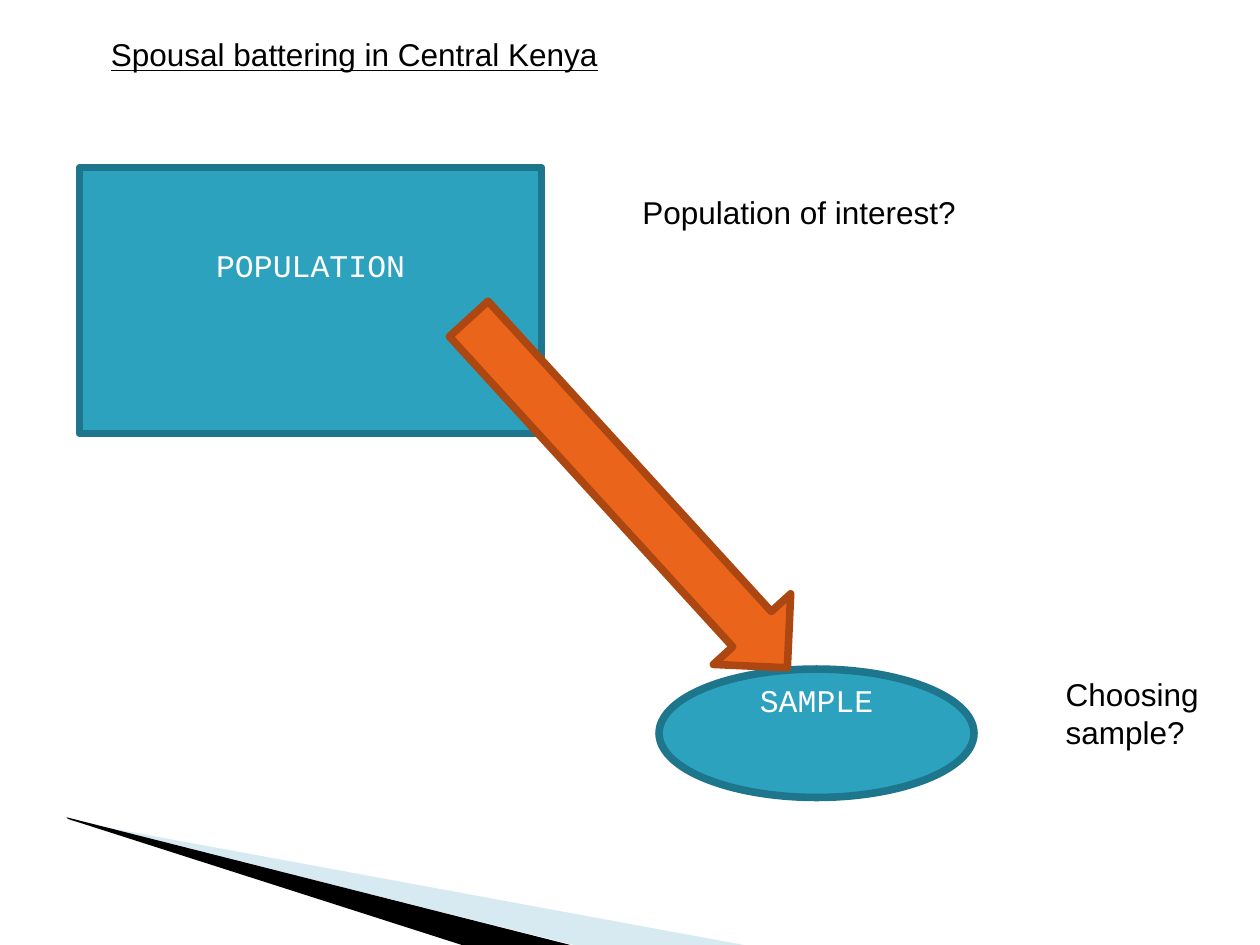
from lxml import etree
from pptx import Presentation
from pptx.dml.color import RGBColor
from pptx.enum.shapes import MSO_SHAPE
from pptx.enum.text import MSO_ANCHOR, PP_ALIGN
from pptx.oxml.ns import qn
from pptx.util import Pt

RECT, OVAL, ARROW = MSO_SHAPE.RECTANGLE, MSO_SHAPE.OVAL, MSO_SHAPE.DOWN_ARROW
TOP = MSO_ANCHOR.TOP
LEFT, CENTER = PP_ALIGN.LEFT, PP_ALIGN.CENTER

TITLE = ("Spousal battering in Central Kenya", (56.2, 16.6, 573.8, 28.8))
NOTES = [
    ("Population of interest?", (360, 106.6, 292.3, 50.4)),
    ("Choosing sample?", (601.9, 382.3, 118.1, 72)),
]
GROUPS = [
    ("POPULATION", RECT, (45.4, 95.8, 264.2, 151.9), 45),
    ("SAMPLE", OVAL, (376.6, 382.3, 180, 73.4), -4),
]
FLOW = (329, 146.9, 59.8, 270)
TURN = 317.6
WEDGES = [
    ("9FCBDC", 40, [(39.6, 468.7), (425, 540), (328, 540), (39.6, 468)]),
    ("000000", 100, [(38.2, 467.3), (326, 540), (264, 540), (38.9, 468)]),
]


def color(code):
    return RGBColor.from_string(code)


def write(shape, text, font, ink, align, line=False, top=3.6):
    frame = shape.text_frame
    frame.word_wrap = True
    frame.vertical_anchor = TOP
    frame.margin_left = frame.margin_right = Pt(7.2)
    frame.margin_top, frame.margin_bottom = Pt(top), Pt(3.6)
    para = frame.paragraphs[0]
    para.alignment = align
    run = para.add_run()
    run.text = text
    run.font.name, run.font.size = font, Pt(18)
    run.font.underline = line
    run.font.color.rgb = color(ink)


def paint(shape, fill, edge=None):
    shape.shadow.inherit = False
    shape.fill.solid()
    shape.fill.fore_color.rgb = color(fill)
    if edge:
        shape.line.color.rgb = color(edge)
        shape.line.width = Pt(4.34)
    else:
        shape.line.fill.background()


def wedge(shapes, fill, alpha, points):
    pen = shapes.build_freeform(*points[0], scale=Pt(1))
    pen.add_line_segments(points[1:], close=True)
    shape = pen.convert_to_shape()
    paint(shape, fill)
    if alpha < 100:
        tone = shape.fill._xPr.find(".//" + qn("a:srgbClr"))
        etree.SubElement(tone, qn("a:alpha"), val=str(alpha * 1000))


def main():
    """Build the population and sample slide."""
    deck = Presentation()
    deck.slide_width, deck.slide_height = Pt(720), Pt(540)
    slide = deck.slides.add_slide(deck.slide_layouts[5])
    shapes = slide.shapes

    text, box = TITLE
    title = shapes.title
    title.left, title.top, title.width, title.height = map(Pt, box)
    write(title, text, "Arial", "000000", LEFT, line=True)

    for fill, alpha, points in WEDGES:
        wedge(shapes, fill, alpha, points)
    for text, kind, box, top in GROUPS:
        group = shapes.add_shape(kind, *map(Pt, box))
        paint(group, "2DA2BF", "1E768C")
        write(group, text, "Courier New", "FFFFFF", CENTER, top=top)

    flow = shapes.add_shape(ARROW, *map(Pt, FLOW))
    flow.rotation = TURN
    paint(flow, "EB641B", "AD4711")

    for text, box in NOTES:
        note = shapes.add_textbox(*map(Pt, box))
        write(note, text, "Arial", "000000", LEFT)

    deck.save("out.pptx")


if __name__ == "__main__":
    main()
